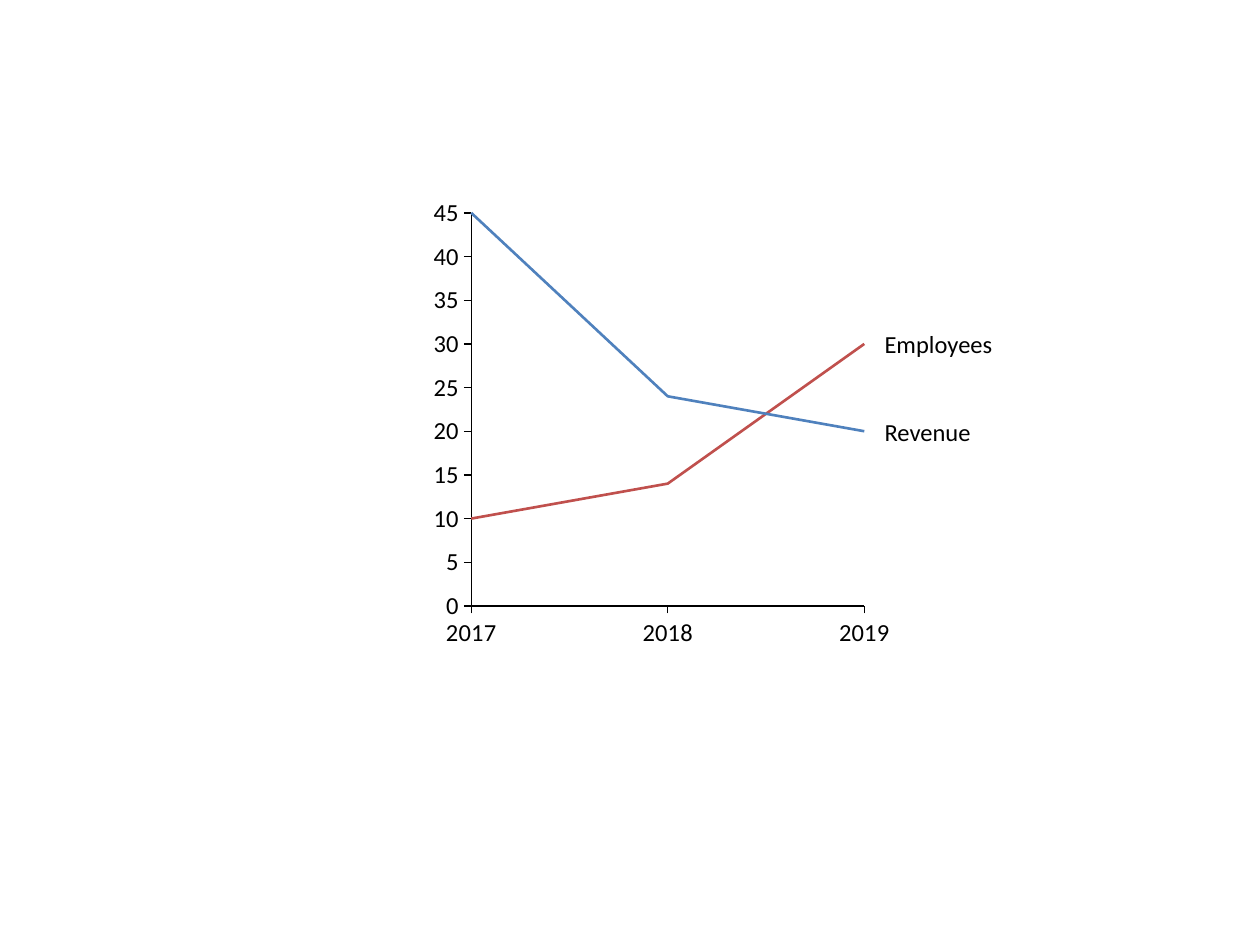
from lxml import etree
from pptx import Presentation
from pptx.chart.data import XyChartData
from pptx.dml.color import RGBColor
from pptx.enum.chart import XL_CHART_TYPE, XL_MARKER_STYLE, XL_TICK_LABEL_POSITION, XL_TICK_MARK
from pptx.enum.text import MSO_ANCHOR
from pptx.oxml.ns import qn
from pptx.util import Inches, Pt

LINES = XL_CHART_TYPE.XY_SCATTER_LINES_NO_MARKERS
NO_MARKER = XL_MARKER_STYLE.NONE
TICK_OUT, TICK_NONE = XL_TICK_MARK.OUTSIDE, XL_TICK_MARK.NONE
LABELS_LOW = XL_TICK_LABEL_POSITION.LOW
MIDDLE = MSO_ANCHOR.MIDDLE

# Slide grid: 1000 columns by 750 rows
SLIDE_W, SLIDE_H = Inches(10), Inches(7.5)
COLS, ROWS = 1000, 750
CHART = (325, 155, 399, 368)
PLOT = (374, 169, 312, 312)
LABEL_GAP, LABEL_H = 16, 23

FONT = "Calibri"
COLORS = {"text": "000000", "Revenue": "4F81BD", "Employees": "C0504D"}
YEARS = (2017, 2018, 2019)
SERIES = {"Revenue": (45, 24, 20), "Employees": (10, 14, 30)}
LABEL_WIDTHS = {"Employees": 88, "Revenue": 72}
Y_MAX = 45

YEAR_AXIS = {"minimum_scale": YEARS[0], "maximum_scale": YEARS[-1], "major_unit": 1}
VALUE_AXIS = {"minimum_scale": 0, "maximum_scale": Y_MAX, "major_unit": 5}
AXIS_STYLE = {
    "has_major_gridlines": False, "has_minor_gridlines": False, "has_title": False,
    "major_tick_mark": TICK_OUT, "minor_tick_mark": TICK_NONE,
    "tick_label_position": LABELS_LOW,
}


def rgb(name):
    return RGBColor.from_string(COLORS[name])


def place(col, row, cols, rows):
    """Turn a grid cell range into left, top, width and height."""
    return (int(SLIDE_W * col / COLS), int(SLIDE_H * row / ROWS),
            int(SLIDE_W * cols / COLS), int(SLIDE_H * rows / ROWS))


def set_all(obj, values):
    for name, value in values.items():
        setattr(obj, name, value)


def style_font(font, size):
    set_all(font, {"name": FONT, "size": Pt(size)})
    font.color.rgb = rgb("text")


def style_line(line, color, width):
    line.color.rgb = rgb(color)
    line.width = Pt(width)


def style_axis(axis, scale, number_format):
    set_all(axis, AXIS_STYLE | scale)
    set_all(axis.tick_labels, {"number_format": number_format,
                               "number_format_is_linked": False})
    style_font(axis.tick_labels.font, 14)
    style_line(axis.format.line, "text", 0.75)


def set_plot_layout(chart):
    """Fix the inner plot area as shares of the chart frame."""
    left, top, width, height = CHART
    shares = {"x": (PLOT[0] - left) / width, "y": (PLOT[1] - top) / height,
              "w": PLOT[2] / width, "h": PLOT[3] / height}
    area = chart.element.find(".//" + qn("c:plotArea"))
    for old in area.findall(qn("c:layout")):
        area.remove(old)
    layout = etree.Element(qn("c:layout"))
    area.insert(0, layout)
    manual = etree.SubElement(layout, qn("c:manualLayout"))
    settings = {"layoutTarget": "inner", "xMode": "edge", "yMode": "edge"} | shares
    for tag, value in settings.items():
        etree.SubElement(manual, qn("c:" + tag), val=str(value))


def add_line_chart(s):
    data = XyChartData()
    for name, values in SERIES.items():
        series = data.add_series(name)
        for year, value in zip(YEARS, values):
            series.add_data_point(year, value)
    chart = s.shapes.add_chart(LINES, *place(*CHART), data).chart
    set_all(chart, {"has_legend": False, "has_title": False})
    style_font(chart.font, 10)
    chart.plots[0].vary_by_categories = False
    style_axis(chart.category_axis, YEAR_AXIS, '0;"-"0;0')
    style_axis(chart.value_axis, VALUE_AXIS, '#,##0;"-"#,##0')
    for series in chart.plots[0].series:
        series.smooth = False
        series.marker.style = NO_MARKER
        style_line(series.format.line, series.name, 1.5)
    set_plot_layout(chart)


def add_series_label(s, name, width):
    """Name a line beside its last point."""
    col = PLOT[0] + PLOT[2] + LABEL_GAP
    row = PLOT[1] + PLOT[3] * (1 - SERIES[name][-1] / Y_MAX) - LABEL_H / 2
    tf = s.shapes.add_textbox(*place(col, row, width, LABEL_H)).text_frame
    set_all(tf, {"margin_left": 0, "margin_top": 0, "margin_right": 0,
                 "margin_bottom": 0, "word_wrap": False, "vertical_anchor": MIDDLE})
    r = tf.paragraphs[0].add_run()
    r.text = name
    style_font(r.font, 14)


def main():
    prs = Presentation()
    set_all(prs, {"slide_width": SLIDE_W, "slide_height": SLIDE_H})
    s = prs.slides.add_slide(prs.slide_layouts[6])

    # Chart
    add_line_chart(s)

    # Direct labels in place of a legend
    for name, width in LABEL_WIDTHS.items():
        add_series_label(s, name, width)

    prs.save("out.pptx")


if __name__ == "__main__":
    main()
